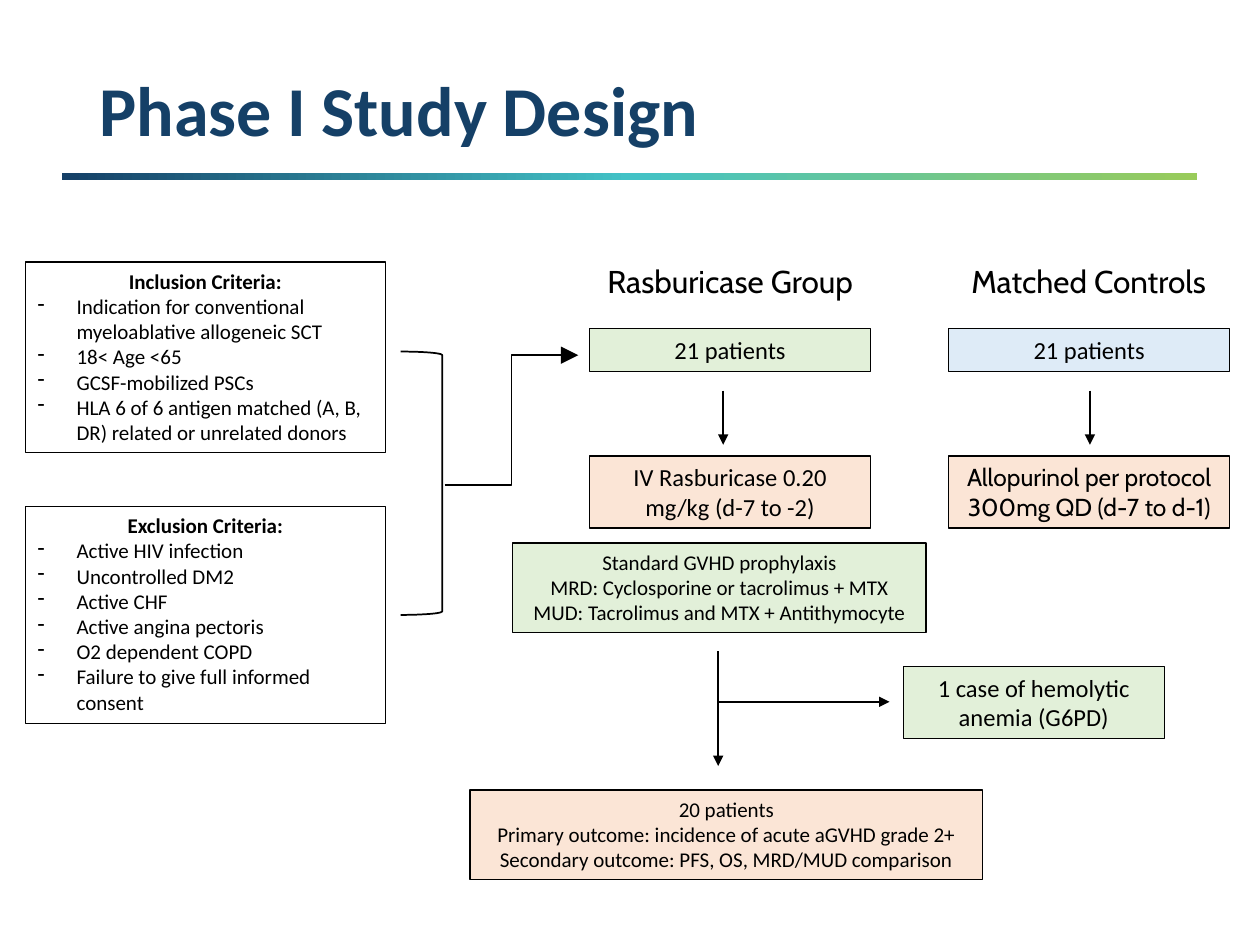
from lxml.etree import SubElement
from pptx import Presentation
from pptx.dml.color import RGBColor
from pptx.enum.dml import MSO_THEME_COLOR
from pptx.enum.shapes import MSO_CONNECTOR as Link, MSO_SHAPE as Shape
from pptx.enum.text import MSO_ANCHOR as Anchor, MSO_AUTO_SIZE as AutoSize, PP_ALIGN as Align
from pptx.oxml.ns import qn
from pptx.util import Inches, Pt

BLACK = RGBColor(0x00, 0x00, 0x00)
NAVY = RGBColor(0x15, 0x40, 0x67)
TEAL = RGBColor(0x42, 0xC2, 0xC6)
LIME = RGBColor(0x99, 0xCB, 0x5A)
GREEN = RGBColor(0xE2, 0xF0, 0xD9)
PEACH = RGBColor(0xFB, 0xE5, 0xD6)
BLUE = RGBColor(0xDE, 0xEB, 0xF7)


def write(shape, lines, size, font="Calibri", color=BLACK, bold=False,
          align=Align.CENTER, anchor=Anchor.TOP):
    frame = shape.text_frame
    frame.word_wrap = True
    frame.vertical_anchor = anchor
    frame.text = "\n".join(lines)
    for para in frame.paragraphs:
        para.alignment = align
        for span in para.runs:
            span.font.size = Pt(size)
            span.font.name = font
            span.font.bold = bold
            span.font.color.rgb = color
    return frame


def add_label(page, box, text, size, **style):
    label = page.shapes.add_textbox(*map(Inches, box))
    return write(label, [text], size, **style)


def add_box(page, box, lines, size, fill=None, font="Calibri"):
    panel = page.shapes.add_shape(Shape.RECTANGLE, *map(Inches, box))
    panel.shadow.inherit = False
    if fill is None:
        panel.fill.background()
    else:
        panel.fill.solid()
        panel.fill.fore_color.rgb = fill
    panel.line.color.rgb = BLACK
    panel.line.width = Pt(0.75)
    frame = write(panel, lines, size, font)
    frame.auto_size = AutoSize.SHAPE_TO_FIT_TEXT
    return frame


def add_arrow(page, start, end, kind=Link.STRAIGHT, head="med"):
    arrow = page.shapes.add_connector(kind, *map(Inches, start + end))
    arrow.line.color.rgb = BLACK
    arrow.line.width = Pt(1)
    line = arrow.line._get_or_add_ln()
    SubElement(line, qn("a:tailEnd"), type="triangle", w=head, len=head)
    SubElement(arrow._element.spPr, qn("a:effectLst"))


def add_header(page, left, top, width, height):
    frame = add_label(page, (left + 0.2, top, width - 0.39, 1), "Phase I Study Design", 40,
                      color=NAVY, bold=True, align=Align.LEFT, anchor=Anchor.MIDDLE)
    frame.paragraphs[0].line_spacing = 0.9
    rule = page.shapes.add_shape(Shape.RECTANGLE, Inches(left), Inches(top + height - 0.06),
                                 Inches(width), Inches(0.06))
    rule.shadow.inherit = False
    rule.line.fill.background()
    rule.fill.gradient()
    rule.fill.gradient_angle = 0
    stops = rule.fill._fill._gradFill.gsLst
    for stop in list(stops):
        stops.remove(stop)
    for position, color in ((0, NAVY), (50000, TEAL), (100000, LIME)):
        stop = SubElement(stops, qn("a:gs"), pos=str(position))
        SubElement(stop, qn("a:srgbClr"), val=str(color))


def add_criteria(page, box, heading, items):
    frame = add_box(page, box, [heading, *items], 12)
    title, *points = frame.paragraphs
    title.runs[0].font.bold = True
    for para in points:
        para.alignment = Align.LEFT
        props = para._p.get_or_add_pPr()
        props.set("marL", str(Inches(0.31)))
        props.set("indent", str(-Inches(0.31)))
        SubElement(props, qn("a:buChar"), char="-")


def add_eligibility(page, left, top):
    add_criteria(page, (left, top, 2.86, 1.51), "Inclusion Criteria:", [
        "Indication for conventional myeloablative allogeneic SCT",
        "18< Age <65",
        "GCSF-mobilized PSCs",
        "HLA 6 of 6 antigen matched (A, B, DR) related or unrelated donors"])
    add_criteria(page, (left, top + 1.94, 2.86, 1.72), "Exclusion Criteria:", [
        "Active HIV infection", "Uncontrolled DM2", "Active CHF",
        "Active angina pectoris", "O2 dependent COPD",
        "Failure to give full informed consent"])
    bracket = page.shapes.add_shape(Shape.RIGHT_BRACKET, Inches(left + 2.98), Inches(top + 0.71),
                                    Inches(0.33), Inches(2.09))
    bracket.shadow.inherit = False
    bracket.fill.background()
    bracket.line.color.rgb = BLACK
    bracket.line.width = Pt(1)
    add_arrow(page, (left + 3.33, top + 1.77), (left + 4.39, top + 0.74), Link.ELBOW, "lg")


def add_arm(page, left, top, heading, heading_box, patient_fill, arrow_x, treatment, font):
    add_label(page, heading_box, heading, 18, font="Cabin")
    add_box(page, (left, top, 2.23, 0.34), ["21 patients"], 14, patient_fill)
    add_arrow(page, (arrow_x, top + 0.49), (arrow_x, top + 0.92))
    add_box(page, (left, top + 1.01, 2.23, 0.57), [treatment], 14, PEACH, font)


def add_follow_up(page, left, top):
    add_box(page, (left + 0.34, top, 3.28, 0.71), [
        "Standard GVHD prophylaxis",
        "MRD: Cyclosporine or tacrolimus + MTX",
        "MUD: Tacrolimus and MTX + Antithymocyte"], 12, GREEN)
    stem = left + 1.97
    add_arrow(page, (stem, top + 0.86), (stem, top + 1.77))
    add_arrow(page, (stem, top + 1.26), (left + 3.33, top + 1.26))
    add_box(page, (left + 3.44, top + 0.98, 2.07, 0.57),
            ["1 case of hemolytic anemia (G6PD)"], 14, GREEN)
    add_box(page, (left, top + 1.96, 4.07, 0.71), [
        "20 patients",
        "Primary outcome: incidence of acute aGVHD grade 2+",
        "Secondary outcome: PFS, OS, MRD/MUD comparison"], 12, PEACH)


def main():
    deck = Presentation()
    deck.slide_width, deck.slide_height = Inches(10), Inches(7.5)
    page = deck.slides.add_slide(deck.slide_layouts[6])
    add_header(page, 0.49, 0.4, 9.01, 1.03)
    add_eligibility(page, 0.2, 2.08)
    add_arm(page, 4.68, 2.61, "Rasburicase Group", (4.25, 2.03, 3.09, 0.4), GREEN, 5.74,
            "IV Rasburicase 0.20 mg/kg (d-7 to -2)", "Calibri")
    add_arm(page, 7.53, 2.61, "Matched Controls", (7.45, 2.03, 2.38, 0.4), BLUE, 8.65,
            "Allopurinol per protocol 300mg QD (d-7 to d-1)", "Cabin")
    add_follow_up(page, 3.73, 4.31)
    deck.save("out.pptx")


if __name__ == "__main__":
    main()
